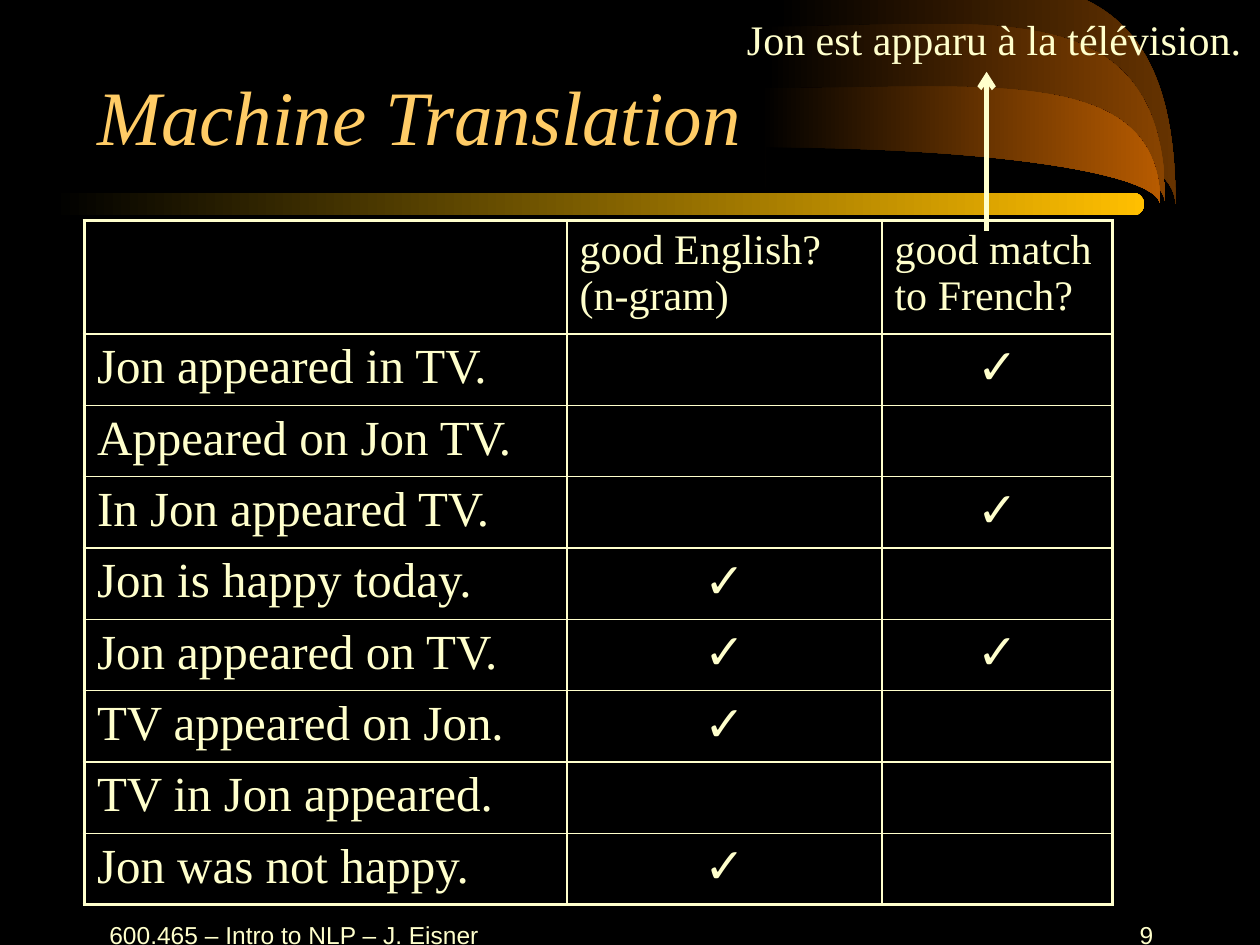
from dataclasses import dataclass

from lxml.etree import SubElement
from pptx import Presentation
from pptx.dml.color import RGBColor
from pptx.enum.shapes import MSO_CONNECTOR, MSO_SHAPE
from pptx.enum.text import MSO_ANCHOR, PP_ALIGN
from pptx.oxml.ns import qn
from pptx.util import Inches, Pt


@dataclass(frozen=True)
class Theme:
    background: str = "000000"
    text: str = "FFFFCC"
    title: str = "FFCC66"
    bar: str = "FFBF00"
    swooshes: tuple = ("663300", "894400", "B75B00")
    serif: str = "Times New Roman"
    sans: str = "Arial"
    title_size: int = 44
    sentence_size: int = 28
    label_size: int = 24
    footer_size: int = 14
    outer_border: float = 2.16
    inner_border: float = 0.9


THEME = Theme()
CHECK = "✓"
HEADINGS = ("", "good English? (n-gram)", "good match to French?")
CANDIDATES = (  # sentence, good English, good match to French
    ("Jon appeared in TV.", False, True),
    ("Appeared on Jon TV.", False, False),
    ("In Jon appeared TV.", False, True),
    ("Jon is happy today.", True, False),
    ("Jon appeared on TV.", True, True),
    ("TV appeared on Jon.", True, False),
    ("TV in Jon appeared.", False, False),
    ("Jon was not happy.", True, False),
)


def color(value):
    return RGBColor.from_string(value)


def write(frame, text, size, font=THEME.serif, ink=THEME.text,
          align=PP_ALIGN.LEFT, italic=False):
    frame.text = text
    paragraph = frame.paragraphs[0]
    paragraph.alignment = align
    for run in paragraph.runs:
        run.font.size = Pt(size)
        run.font.name = font
        run.font.italic = italic
        run.font.color.rgb = color(ink)
    return paragraph


def fade_in(shape, ink):
    """Fill from the background colour on the left to ink on the right."""
    shape.shadow.inherit = False
    shape.line.fill.background()
    shape.fill.gradient()
    shape.fill.gradient_angle = 0
    for stop, value in zip(shape.fill.gradient_stops, (THEME.background, ink)):
        stop.color.rgb = color(value)


def add_curved_shape(slide, box, segments):
    """Freeform in box whose segments are (command, points) in slide inches."""
    left, top, width, height = box
    right, bottom = left + width, top + height
    builder = slide.shapes.build_freeform(Inches(left), Inches(top))
    builder.add_line_segments([(Inches(x), Inches(y)) for x, y in (
        (right, top), (right, bottom), (left, bottom))], close=True)
    shape = builder.convert_to_shape()
    outline = next(shape._element.iter(qn("a:path")))
    for command in list(outline):
        outline.remove(command)
    for command, points in segments:
        segment = SubElement(outline, qn(f"a:{command}"))
        for x, y in points:
            SubElement(segment, qn("a:pt"), x=str(Inches(x - left)),
                       y=str(Inches(y - top)))
    SubElement(outline, qn("a:close"))
    return shape


def add_swoosh(slide, left, top, bottom, tip, crest, shoulder, ink):
    """A horn that opens at left, between top and bottom, and ends at tip."""
    right, bend, edge = left + 3.13, left + 1.73, left - 0.04
    box = (edge, bottom, right - edge, tip - top)
    fade_in(add_curved_shape(slide, box, (
        ("moveTo", [(left, bottom)]),
        ("cubicBezTo", [(bend, bottom), (right, shoulder), (right, tip)]),
        ("cubicBezTo", [(right, crest), (bend, top), (left, top)]),
        ("lnTo", [(edge, top)]),
        ("lnTo", [(left, tip)]),
    )), ink)


def add_decoration(slide):
    curves = (
        (6.2, -0.15, 0.75, 1.62, -0.55, 1.14),
        (6.12, 0.21, 0.93, 1.62, -0.1, 1.24),
        (6.08, 0.7, 1.17, 1.63, 0.5, 1.37),
    )
    for curve, ink in zip(curves, THEME.swooshes):
        add_swoosh(slide, *curve, ink)
    bar = slide.shapes.add_shape(MSO_SHAPE.ROUNDED_RECTANGLE, Inches(0.42),
                                 Inches(1.53), Inches(8.66), Inches(0.18))
    bar.adjustments[0] = 0.5
    fade_in(bar, THEME.bar)


def add_title(slide, left, top, width, height):
    title = slide.shapes.title
    title.left, title.top = Inches(left), Inches(top)
    title.width, title.height = Inches(width), Inches(height)
    title.text_frame.vertical_anchor = MSO_ANCHOR.BOTTOM
    write(title.text_frame, "Machine Translation", THEME.title_size,
          ink=THEME.title, italic=True)
    slide.shapes._spTree.append(title._element)  # in front of the decoration


def add_text(slide, box, text, size, anchor=MSO_ANCHOR.TOP, **style):
    frame = slide.shapes.add_textbox(*map(Inches, box)).text_frame
    frame.word_wrap = True
    frame.vertical_anchor = anchor
    write(frame, text, size, **style)


def add_footer(slide, top, height):
    style = dict(size=THEME.footer_size, font=THEME.sans, anchor=MSO_ANCHOR.MIDDLE)
    add_text(slide, (0.75, top, 3.17, height), "600.465 – Intro to NLP – J. Eisner",
             align=PP_ALIGN.CENTER, **style)
    add_text(slide, (7.17, top, 2.08, height), "9", align=PP_ALIGN.RIGHT, **style)


def set_borders(cell, outer_sides):
    """Draw all four borders, heavier on the sides given as True (L, R, T, B)."""
    properties = cell._tc.get_or_add_tcPr()
    for side, outer in zip("LRTB", outer_sides):
        width = THEME.outer_border if outer else THEME.inner_border
        line = SubElement(properties, qn(f"a:ln{side}"), w=str(Pt(width)))
        SubElement(SubElement(line, qn("a:solidFill")), qn("a:srgbClr"), val=THEME.text)


def add_candidate_table(slide, left, top, widths, header_height, height):
    rows, columns = len(CANDIDATES) + 1, len(widths)
    table = slide.shapes.add_table(rows, columns, Inches(left), Inches(top),
                                   Inches(sum(widths)), Inches(height)).table
    table.first_row = table.horz_banding = False
    for column, width in zip(table.columns, widths):
        column.width = Inches(width)
    row_height = (height - header_height) / len(CANDIDATES)
    for r, values in enumerate((HEADINGS, *CANDIDATES)):
        table.rows[r].height = Inches(row_height if r else header_height)
        for c, value in enumerate(values):
            cell = table.cell(r, c)
            set_borders(cell, (c == 0, c == columns - 1, r == 0, r == rows - 1))
            cell.fill.background()
            cell.margin_left = cell.margin_right = Inches(0.1)
            cell.margin_top = cell.margin_bottom = Inches(0.05)
            if not value:
                continue
            if r == 0:
                paragraph = write(cell.text_frame, value, THEME.label_size)
            elif c == 0:
                paragraph = write(cell.text_frame, value, THEME.sentence_size)
            else:
                paragraph = write(cell.text_frame, CHECK, THEME.sentence_size,
                                  font=THEME.sans, align=PP_ALIGN.CENTER)
            paragraph.space_before = Pt(7 if r else 6)


def add_arrow(slide, x, start, end):
    arrow = slide.shapes.add_connector(MSO_CONNECTOR.STRAIGHT, Inches(x),
                                       Inches(start), Inches(x), Inches(end))
    arrow.line.color.rgb = color(THEME.text)
    arrow.line.width = Pt(3)
    SubElement(arrow.line._get_or_add_ln(), qn("a:tailEnd"), type="arrow")
    SubElement(arrow._element.spPr, qn("a:effectLst"))


def main():
    deck = Presentation()
    deck.slide_width, deck.slide_height = Inches(10), Inches(7.5)
    slide = deck.slides.add_slide(deck.slide_layouts[5])
    slide.background.fill.solid()
    slide.background.fill.fore_color.rgb = color(THEME.background)
    add_decoration(slide)
    add_footer(slide, 7.17, 0.5)
    add_title(slide, 0.67, 0.08, 8.5, 1.25)
    add_candidate_table(slide, 0.67, 1.75, (3.83, 2.5, 1.83), 0.9, 5.43)
    add_text(slide, (5.83, 0.06, 5, 0.5), "Jon est apparu à la télévision.",
             THEME.label_size)
    add_arrow(slide, 7.83, 1.83, 0.57)
    deck.save("out.pptx")


if __name__ == "__main__":
    main()
